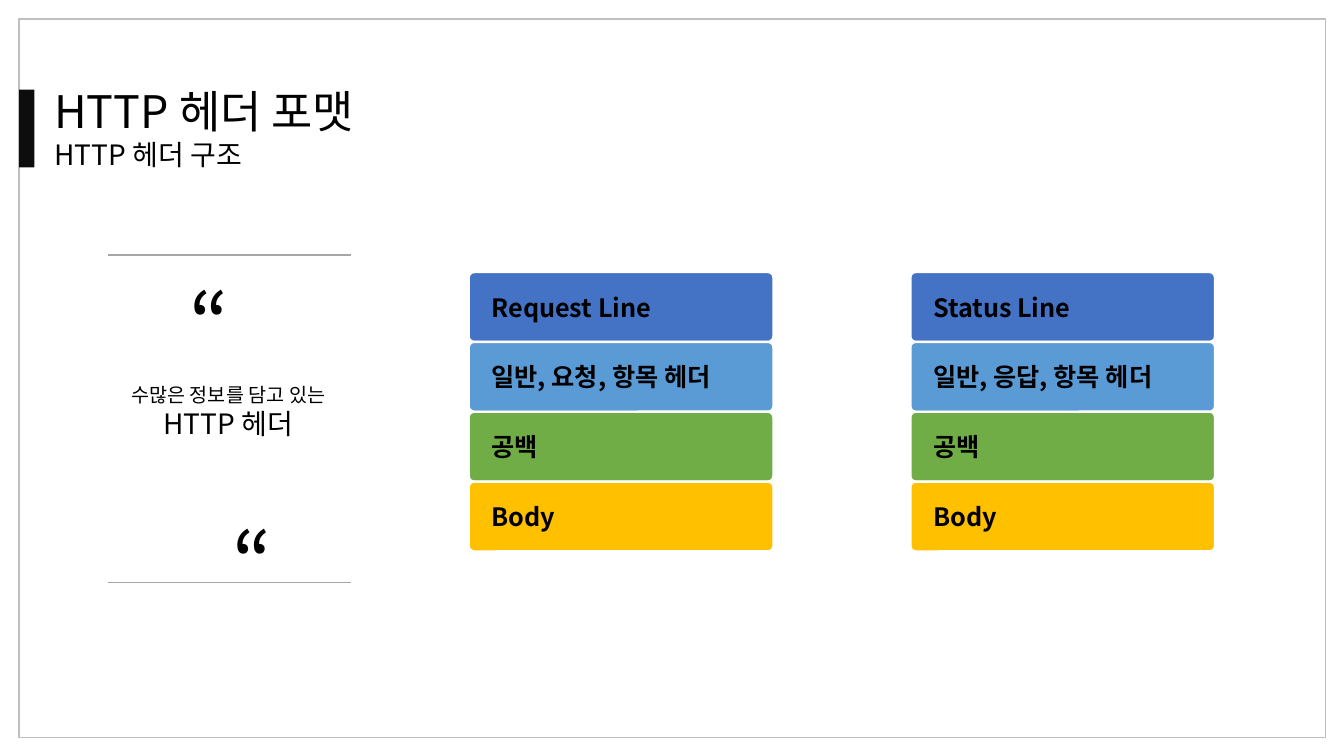
"""Build a slide that compares the structure of HTTP request and response headers."""
from dataclasses import dataclass

from lxml import etree
from pptx import Presentation
from pptx import util as u
from pptx.dml.color import RGBColor
from pptx.enum import shapes, text
from pptx.oxml import ns

FONT = "Noto Sans CJK KR"
ROW_COLORS = ("4472C4", "5B9BD5", "70AD47", "FFC000")
STACK_TOP = 2.7
ROW_PITCH = 0.693
ROW_WIDTH, ROW_HEIGHT = 3.02, 0.69


@dataclass(frozen=True)
class Box:
    left: float
    top: float
    width: float
    height: float

    def lengths(self) -> tuple:
        return tuple(u.Inches(v) for v in (self.left, self.top, self.width, self.height))


@dataclass(frozen=True)
class Line:
    words: str
    size: int


@dataclass(frozen=True)
class TextBlock:
    box: Box
    lines: tuple[Line, ...]
    centered: bool = True


@dataclass(frozen=True)
class MessageStack:
    left: float
    rows: tuple[str, ...]


RULE_TOPS = (2.53, 5.78)

TEXT_BLOCKS = (
    TextBlock(Box(-0.08, 2.64, 4.31, 1.11), (Line("“", 60),)),
    TextBlock(Box(0.35, 5.02, 4.31, 1.11), (Line("“", 60),)),
    TextBlock(Box(0.68, 3.75, 3.17, 0.67),
              (Line("수많은 정보를 담고 있는", 14), Line("HTTP 헤더", 20))),
    TextBlock(Box(0.44, 0.78, 5.31, 0.98),
              (Line("HTTP 헤더 포맷", 32), Line("HTTP 헤더 구조", 20)), centered=False),
)

STACKS = (
    MessageStack(9.03, ("Status Line", "일반, 응답, 항목 헤더", "공백", "Body")),
    MessageStack(4.65, ("Request Line", "일반, 요청, 항목 헤더", "공백", "Body")),
)


def color(value: str) -> RGBColor:
    return RGBColor.from_string(value)


def write(paragraph, words: str, *, size: int, bold: bool = False, centered: bool = False) -> None:
    paragraph.alignment = text.PP_ALIGN.CENTER if centered else text.PP_ALIGN.LEFT
    run = paragraph.add_run()
    run.text = words
    run.font.name = FONT
    run.font.size = u.Pt(size)
    run.font.bold = bold
    run.font.color.rgb = color("000000")
    east_asian = etree.SubElement(run._r.get_or_add_rPr(), ns.qn("a:ea"))
    east_asian.set("typeface", FONT)


def add_rule(slide, top: float) -> None:
    rule = slide.shapes.add_connector(
        shapes.MSO_CONNECTOR.STRAIGHT, u.Inches(1.07), u.Inches(top), u.Inches(3.48), u.Inches(top))
    rule.line.color.rgb = color("A6A6A6")
    rule.line.width = u.Pt(0.75)
    etree.SubElement(rule._element.spPr, ns.qn("a:effectLst"))


def add_block(slide, box: Box, *, fill: str = "", line: str = "", weight: float = 1,
              kind=shapes.MSO_SHAPE.RECTANGLE):
    shape = slide.shapes.add_shape(kind, *box.lengths())
    shape.shadow.inherit = False
    if fill:
        shape.fill.solid()
        shape.fill.fore_color.rgb = color(fill)
    else:
        shape.fill.background()
    if line:
        shape.line.color.rgb = color(line)
        shape.line.width = u.Pt(weight)
    else:
        shape.line.fill.background()
    return shape


def add_text_block(slide, block: TextBlock) -> None:
    frame = slide.shapes.add_textbox(*block.box.lengths()).text_frame
    frame.word_wrap = True
    frame.auto_size = text.MSO_AUTO_SIZE.SHAPE_TO_FIT_TEXT
    for index, line in enumerate(block.lines):
        paragraph = frame.add_paragraph() if index else frame.paragraphs[0]
        write(paragraph, line.words, size=line.size, centered=block.centered)


def add_stack(slide, stack: MessageStack) -> None:
    for index, (words, fill) in enumerate(zip(stack.rows, ROW_COLORS)):
        box = Box(stack.left, STACK_TOP + index * ROW_PITCH, ROW_WIDTH, ROW_HEIGHT)
        shape = add_block(slide, box, fill=fill, line="FFFFFF", weight=1.5,
                          kind=shapes.MSO_SHAPE.ROUNDED_RECTANGLE)
        shape.adjustments[0] = 0.075
        frame = shape.text_frame
        frame.margin_left = u.Inches(0.21)
        frame.vertical_anchor = text.MSO_ANCHOR.MIDDLE
        write(frame.paragraphs[0], words, size=18, bold=True)


def main() -> None:
    presentation = Presentation()
    presentation.slide_width = u.Inches(13.33)
    presentation.slide_height = u.Inches(7.5)
    slide = presentation.slides.add_slide(presentation.slide_layouts[6])
    for top in RULE_TOPS:
        add_rule(slide, top)
    add_block(slide, Box(0.19, 0.19, 12.96, 7.13), line="BFBFBF")
    add_block(slide, Box(0.19, 0.89, 0.15, 0.77), fill="0D0D0D")
    for block in TEXT_BLOCKS:
        add_text_block(slide, block)
    for stack in STACKS:
        add_stack(slide, stack)
    presentation.save("out.pptx")


if __name__ == "__main__":
    main()
